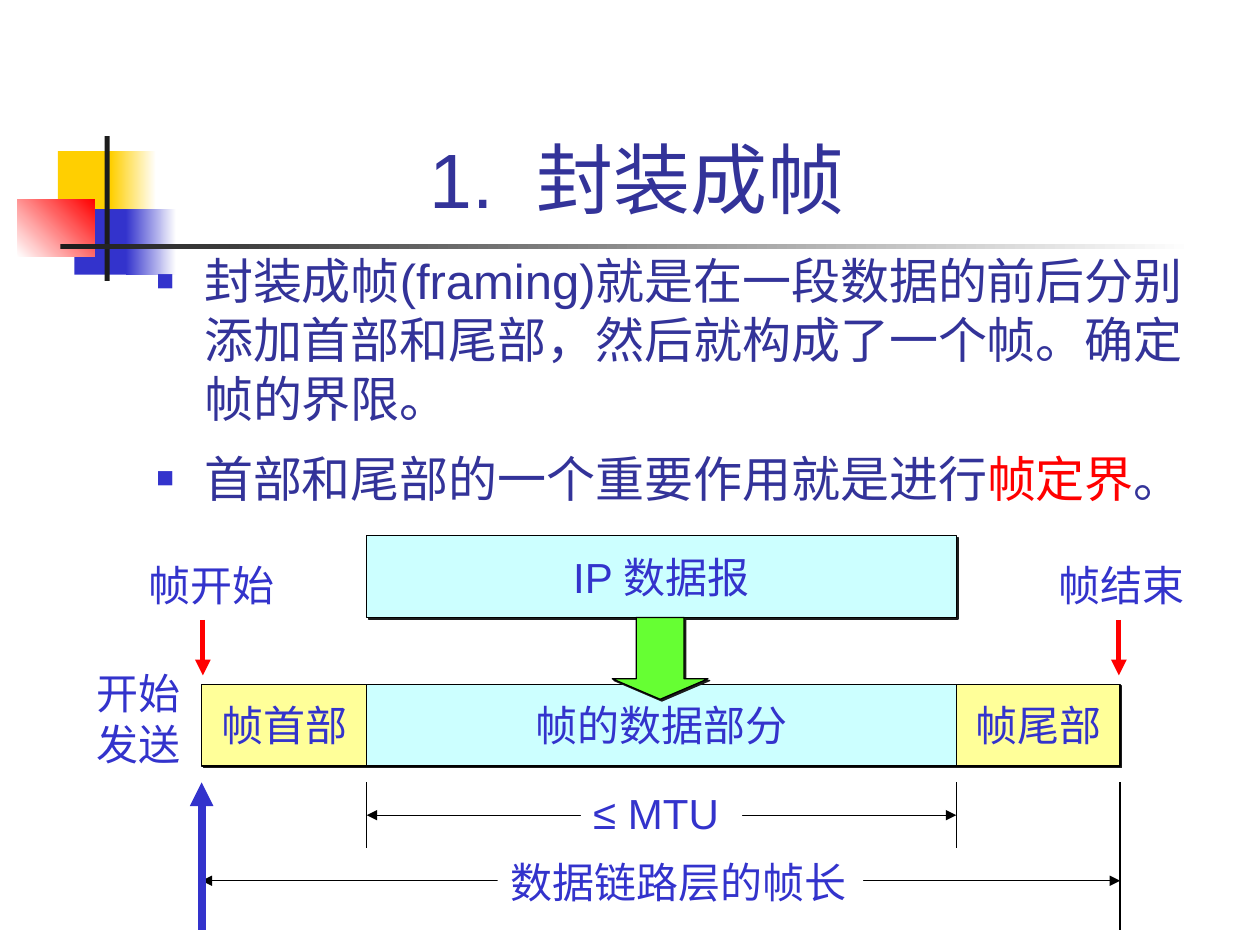
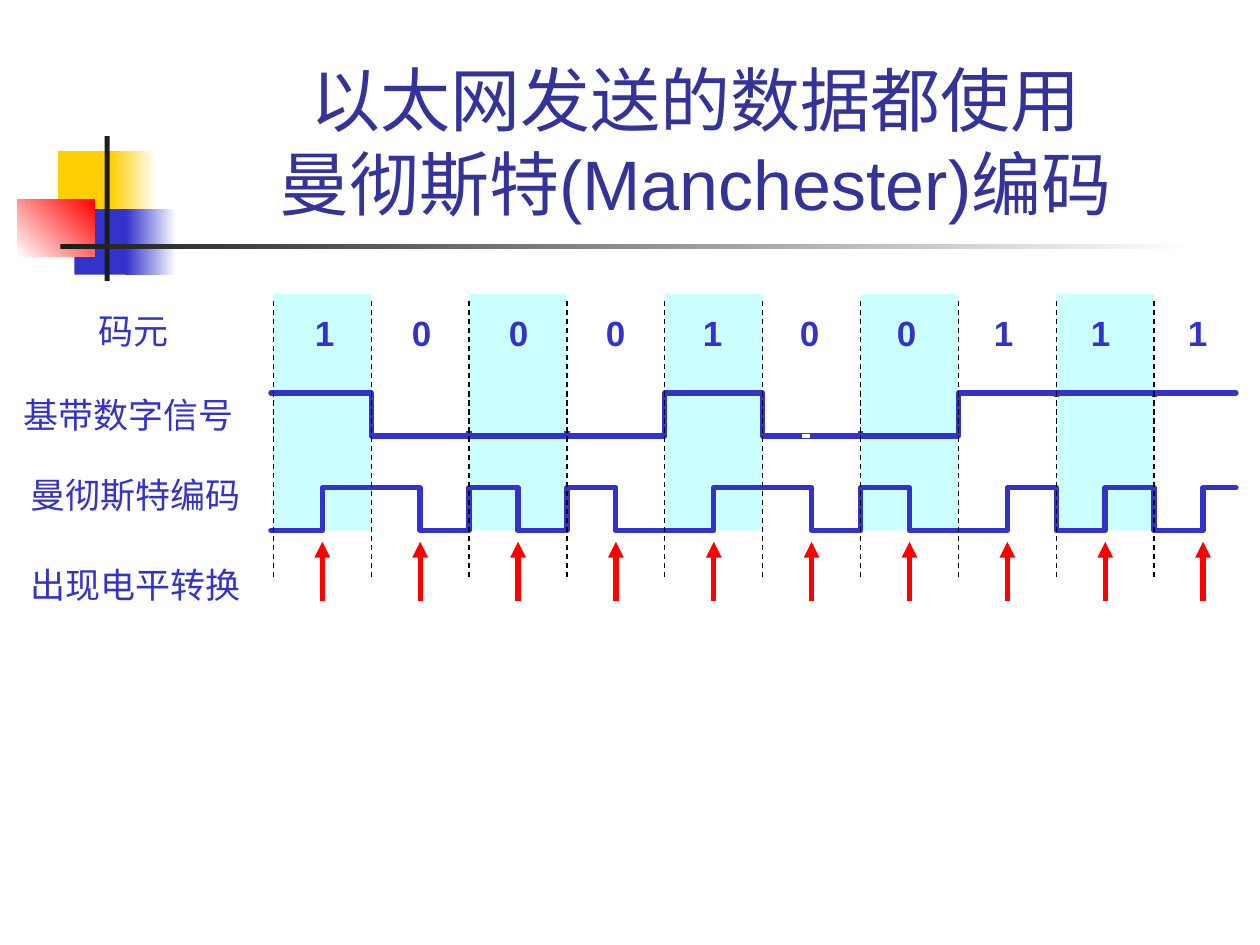
from lxml import etree
from pptx import Presentation
from pptx.dml.color import RGBColor
from pptx.enum.dml import MSO_LINE
from pptx.enum.shapes import MSO_CONNECTOR, MSO_SHAPE
from pptx.enum.text import MSO_ANCHOR, MSO_AUTO_SIZE, PP_ALIGN
from pptx.oxml import parse_xml
from pptx.oxml.ns import nsdecls, qn
from pptx.util import Inches, Pt

COLORS = {key: RGBColor.from_string(value) for key, value in {
    "title": "333399", "blue": "3333CC", "red": "FF0000", "gold": "FFCF01",
    "dark": "1C1C1C", "white": "FFFFFF", "black": "000000",
    "cyan": "CCFFFF", "yellow": "FFFF99", "green": "66FF33"}.items()}
FONT = "Arial"


def add_run(paragraph, text, size, color="blue", bold=False):
    run = paragraph.add_run()
    run.text = text
    run.font.name = FONT
    run.font.size = Pt(size)
    run.font.bold = bold
    run.font.color.rgb = COLORS[color]


def add_line(slide, start, end, color="black", width=0.75, arrows=(), dashed=False):
    line = slide.shapes.add_connector(MSO_CONNECTOR.STRAIGHT, *map(Inches, start + end))
    line.line.color.rgb = COLORS[color]
    line.line.width = Pt(width)
    if dashed:
        line.line.dash_style = MSO_LINE.DASH
    outline = line.element.spPr.find(qn("a:ln"))
    for arrow in arrows:
        etree.SubElement(outline, qn(f"a:{arrow}End"), type="triangle")
    etree.SubElement(line.element.spPr, qn("a:effectLst"))


presentation = Presentation()
presentation.slide_width = Inches(10)
presentation.slide_height = Inches(7.5)
framing = presentation.slides.add_slide(presentation.slide_layouts[1])
encoding = presentation.slides.add_slide(presentation.slide_layouts[5])

decorations = [
    ((0.46, 1.2, 0.48, 0.52), ["gold"], 0),
    ((0.88, 1.2, 0.36, 0.52), ["gold", "white"], 0),
    ((0.59, 1.66, 0.46, 0.52), ["blue"], 0),
    ((1, 1.66, 0.4, 0.52), ["blue", "white"], 0),
    ((0.14, 1.58, 0.61, 0.46), ["white", "red"], 45),
    ((0.83, 1.08, 0.04, 1.15), ["dark"], 0),
    ((0.48, 1.94, 9, 0.04), ["dark", "white"], 0),
]
master_tree = presentation.slide_master.shapes.element
for number, (box, colors, angle) in enumerate(decorations):
    shape = framing.shapes.add_shape(MSO_SHAPE.RECTANGLE, *map(Inches, box))
    shape.shadow.inherit = False
    shape.line.fill.background()
    if len(colors) == 1:
        shape.fill.solid()
        shape.fill.fore_color.rgb = COLORS[colors[0]]
    else:
        shape.fill.gradient()
        shape.fill.gradient_angle = angle
        for stop, color in zip(shape.fill.gradient_stops, colors):
            stop.color.rgb = COLORS[color]
    shape.element.nvSpPr.cNvPr.set("id", str(100 + number))
    master_tree.insert(2 + number, shape.element)

titles = [
    (framing, 7.6, 44, ["1.  封装成帧"]),
    (encoding, 8.52, 40, ["以太网发送的数据都使用", "曼彻斯特(Manchester)编码"]),
]
for slide, width, size, lines in titles:
    title = slide.shapes.title
    title.left, title.top, title.width, title.height = map(Inches, (1.26, 0.23, width, 1.6))
    title.text_frame.auto_size = MSO_AUTO_SIZE.NONE
    title.text_frame.vertical_anchor = MSO_ANCHOR.BOTTOM
    paragraph = title.text_frame.paragraphs[0]
    paragraph.alignment = PP_ALIGN.CENTER
    for index, text in enumerate(lines):
        if index:
            paragraph.add_line_break()
        add_run(paragraph, text, size, "title")

body = framing.placeholders[1]
body.left, body.top, body.width, body.height = map(Inches, (1.14, 1.94, 8.5, 4.5))
body.text_frame.auto_size = MSO_AUTO_SIZE.NONE
bullets = [
    (7, [("封装成帧(framing)就是在一段数据的前后分别添加首部和尾部，"
          "然后就构成了一个帧。确定帧的界限。", "title")]),
    (12, [("首部和尾部的一个重要作用就是进行", "title"), ("帧定界", "red"), ("。", "title")]),
]
for index, (space, runs) in enumerate(bullets):
    paragraph = body.text_frame.add_paragraph() if index else body.text_frame.paragraphs[0]
    paragraph.space_before = Pt(space)
    properties = paragraph._p.get_or_add_pPr()
    properties.set("marL", str(Inches(0.38)))
    properties.set("indent", str(-Inches(0.38)))
    for tag in (f'<a:buClr {nsdecls("a")}><a:srgbClr val="{COLORS["blue"]}"/></a:buClr>',
                f'<a:buSzPct {nsdecls("a")} val="60000"/>',
                f'<a:buFont {nsdecls("a")} typeface="{FONT}"/>',
                f'<a:buChar {nsdecls("a")} char="■"/>'):
        properties.append(parse_xml(tag))
    for text, color in runs:
        add_run(paragraph, text, 28, color)

frame_left, data_left, data_right, frame_right = 1.6, 2.91, 7.59, 8.89
add_line(framing, (data_left, 6.47), (data_right, 6.47), arrows=("head", "tail"))
add_line(framing, (frame_left, 6.99), (frame_right, 6.99), arrows=("head", "tail"))
add_line(framing, (frame_left, 6.21), (frame_left, 7.38), "blue", 4.5, ("head",))
for x, bottom in ((frame_right, 7.38), (data_left, 6.73), (data_right, 6.73)):
    add_line(framing, (x, 6.21), (x, bottom))

data_width = data_right - data_left
frame_parts = [
    (MSO_SHAPE.RECTANGLE, (frame_left, 5.43, data_left - frame_left, 0.65), "yellow", "帧首部"),
    (MSO_SHAPE.RECTANGLE, (data_left, 4.25, data_width, 0.65), "cyan", "IP 数据报"),
    (MSO_SHAPE.RECTANGLE, (data_left, 5.43, data_width, 0.65), "cyan", "帧的数据部分"),
    (MSO_SHAPE.RECTANGLE, (data_right, 5.43, frame_right - data_right, 0.65), "yellow", "帧尾部"),
    (MSO_SHAPE.DOWN_ARROW, (4.86, 4.9, 0.76, 0.65), "green", ""),
]
for kind, box, color, text in frame_parts:
    shape = framing.shapes.add_shape(kind, *map(Inches, box))
    shape.fill.solid()
    shape.fill.fore_color.rgb = COLORS[color]
    shape.line.color.rgb = COLORS["black"]
    shape.line.width = Pt(0.75)
    shape.element.spPr.append(parse_xml(
        f'<a:effectLst {nsdecls("a")}><a:outerShdw dist="{Pt(1.4)}" dir="2700000" algn="ctr" '
        f'rotWithShape="0"><a:srgbClr val="{COLORS["dark"]}"/></a:outerShdw></a:effectLst>'))
    if kind == MSO_SHAPE.DOWN_ARROW:
        shape.adjustments[0], shape.adjustments[1] = 0.5, 0.25
    else:
        shape.text_frame.word_wrap = False
        shape.text_frame.vertical_anchor = MSO_ANCHOR.MIDDLE
        paragraph = shape.text_frame.paragraphs[0]
        paragraph.alignment = PP_ALIGN.CENTER
        add_run(paragraph, text, 24)

frame_labels = [
    ((8.3, 4.39, 1.2, 0.5), ["帧结束"]),
    ((4.61, 6.2, 1.28, 0.5), ["≤ MTU"]),
    ((3.95, 6.75, 2.9, 0.5), ["数据链路层的帧长"]),
    ((0.67, 5.25, 0.9, 0.9), ["开始", "发送"]),
    ((1.08, 4.39, 1.2, 0.5), ["帧开始"]),
]
for box, lines in frame_labels:
    label = framing.shapes.add_textbox(*map(Inches, box))
    label.fill.solid()
    label.fill.fore_color.rgb = COLORS["white"]
    label.text_frame.word_wrap = False
    label.text_frame.auto_size = MSO_AUTO_SIZE.SHAPE_TO_FIT_TEXT
    for index, text in enumerate(lines):
        paragraph = label.text_frame.add_paragraph() if index else label.text_frame.paragraphs[0]
        add_run(paragraph, text, 24)
for x in (1.61, 8.88):
    add_line(framing, (x, 4.92), (x, 5.36), "red", 3, ("tail",))

bits = "1000100111"
bits_left, signal_left, signal_right = 2.17, 2.15, 9.81
bit_width = 6.99 / 9
base_high, base_low = 3.12, 3.46
code_high, code_low = 3.87, 4.21
edges = [bits_left + index * bit_width for index in range(len(bits))]

for edge in edges[::2]:
    band = encoding.shapes.add_shape(
        MSO_SHAPE.RECTANGLE, *map(Inches, (edge, 2.33, bit_width, 1.88)))
    band.shadow.inherit = False
    band.fill.solid()
    band.fill.fore_color.rgb = COLORS["cyan"]
    band.line.fill.background()

signal_labels = [((0.68, 2.41, 0.78, 0.43), "码元", False),
                 ((0.09, 3.07, 1.87, 0.43), "基带数字信号", False),
                 ((0.14, 3.71, 1.87, 0.43), "曼彻斯特编码", False),
                 ((0.14, 4.42, 1.87, 0.43), "出现电平转换", False)]
signal_labels += [((2.4 + 0.77 * index, 2.42, 0.35, 0.43), bit, True)
                  for index, bit in enumerate(bits)]
for box, text, bold in signal_labels:
    label = encoding.shapes.add_textbox(*map(Inches, box))
    label.text_frame.word_wrap = False
    label.text_frame.auto_size = MSO_AUTO_SIZE.SHAPE_TO_FIT_TEXT
    add_run(label.text_frame.paragraphs[0], text, 20, bold=bold)

baseband, manchester = [], []
for edge, bit in zip(edges, bits):
    middle, end = edge + bit_width / 2, edge + bit_width
    level = base_high if bit == "1" else base_low
    first, second = (code_low, code_high) if bit == "1" else (code_high, code_low)
    baseband += [(edge, level), (end, level)]
    manchester += [(edge, first), (middle, first), (middle, second), (end, second)]
for points in (baseband, manchester):
    points[0] = (signal_left, points[0][1])
    points[-1] = (signal_right, points[-1][1])
    points = [(Inches(x), Inches(y)) for x, y in points]
    builder = encoding.shapes.build_freeform(*points[0])
    builder.add_line_segments(points[1:], close=False)
    signal = builder.convert_to_shape()
    signal.shadow.inherit = False
    signal.fill.background()
    signal.line.color.rgb = COLORS["blue"]
    signal.line.width = Pt(3)
    signal.element.spPr.find(qn("a:ln")).set("cap", "rnd")

for edge, before, after in zip(edges[1:], bits, bits[1:]):
    if before == after:
        bottom = 3.15 if after == "1" else base_low
        add_line(encoding, (edge, bottom), (edge, bottom - 0.04), "blue", 3)

gap = encoding.shapes.add_shape(MSO_SHAPE.RECTANGLE, *map(Inches, (6.37, 3.45, 0.05, 0.02)))
gap.shadow.inherit = False
gap.fill.solid()
gap.fill.fore_color.rgb = COLORS["white"]
gap.line.color.rgb = COLORS["white"]
gap.line.width = Pt(0.75)

for edge in edges:
    add_line(encoding, (edge, 4.58), (edge, 2.38), dashed=True)
for edge in edges:
    middle = edge + bit_width / 2
    add_line(encoding, (middle, 4.77), (middle, 4.3), "red", 3, ("tail",))

presentation.save("out.pptx")
